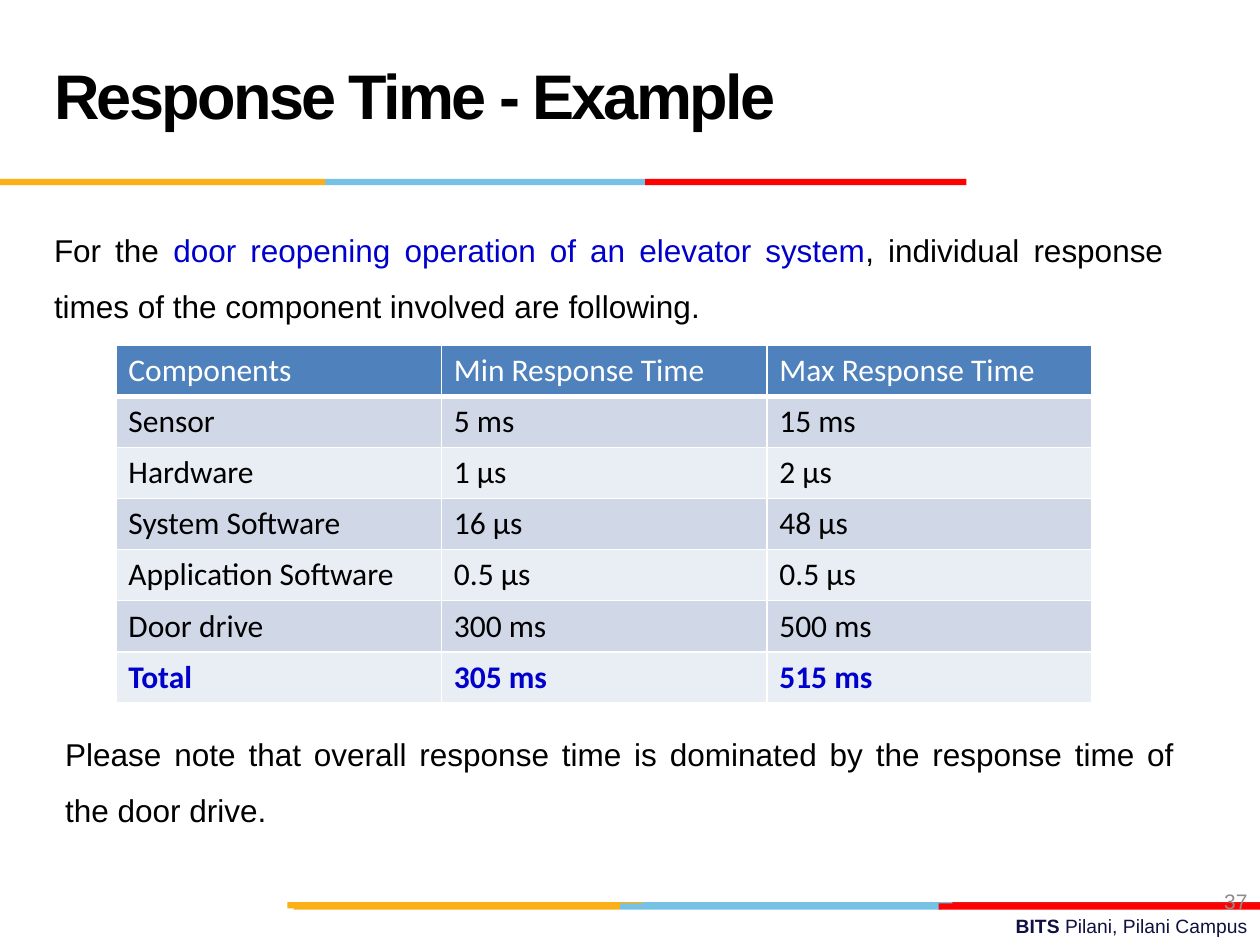
"""Build the response time example slide."""
from typing import NamedTuple

from lxml.etree import SubElement
from pptx import Presentation
from pptx.dml.color import RGBColor
from pptx.enum.shapes import MSO_SHAPE as Kind
from pptx.enum.text import MSO_ANCHOR as Anchor, PP_ALIGN as Align
from pptx.oxml.ns import qn
from pptx.util import Pt

GOLD, SKY, RED, BRICK = "FCB017", "76C2E5", "FF0000", "E31C24"
BLACK, WHITE, BLUE, NAVY, GREY = "000000", "FFFFFF", "0000CC", "101141", "8C8C8C"
HEAD, DARK, LIGHT = "4F81BD", "D0D8E8", "E9EDF4"


class Bar(NamedTuple):
    left: float
    top: float
    width: float
    fill: str


class Run(NamedTuple):
    text: str
    color: str = BLACK
    bold: bool = False


class Note(NamedTuple):
    box: tuple
    runs: list
    size: float
    form: dict
    anchor: Anchor = Anchor.TOP
    track: int = 0


BODY = {"alignment": Align.JUSTIFY, "line_spacing": 1.5}
RIGHT = {"alignment": Align.RIGHT}

BARS = [
    Bar(364.3, 515.5, 183.6, SKY),
    Bar(544.3, 515.5, 175.7, BRICK),
    Bar(164.2, 515.5, 203, GOLD),
    Bar(354.2, 516.2, 183.6, SKY),
    Bar(167.8, 516.2, 186.4, GOLD),
    Bar(536.4, 516.2, 183.6, RED),
    Bar(185.8, 102.2, 183.6, SKY),
    Bar(0, 102.2, 185.8, GOLD),
    Bar(368.6, 102.2, 183.6, RED),
]

NOTES = [
    Note((257.8, 519.1, 462.2, 20.9),
         [Run("BITS ", NAVY, True), Run("Pilani, Pilani Campus", NAVY)], 11, RIGHT),
    Note((23.8, 117.4, 648, 74.2),
         [Run("For the "),
          Run("door reopening operation of an elevator system", BLUE),
          Run(", individual response times of the component involved are following.")],
         18, BODY),
    Note((23.8, 12.2, 498.2, 90), [Run("Response Time - Example", BLACK, True)],
         36, {"line_spacing": Pt(36)}, Anchor.MIDDLE, -150),
    Note((552.2, 500.4, 167.8, 28.8), [Run("37", GREY)], 12, RIGHT, Anchor.MIDDLE),
    Note((30.2, 405.4, 648, 74.2),
         [Run("Please note that overall response time is dominated by "
              "the response time of the door drive.")], 18, BODY),
]

ROWS = [
    ("Components", "Min Response Time", "Max Response Time"),
    ("Sensor", "5 ms", "15 ms"),
    ("Hardware", "1 μs", "2 μs"),
    ("System Software", "16 μs", "48 μs"),
    ("Application Software", "0.5 μs", "0.5 μs"),
    ("Door drive", "300 ms", "500 ms"),
    ("Total", "305 ms", "515 ms"),
]


def paint(fill, color: str) -> None:
    """Make a fill solid in a hex colour."""
    fill.solid()
    fill.fore_color.rgb = RGBColor.from_string(color)


def apply(item, form: dict) -> None:
    """Set each format value on an item."""
    for name, value in form.items():
        setattr(item, name, value)


def add_run(para, run: Run, size: float, face: str):
    """Append a styled run to a paragraph."""
    part = para.add_run()
    part.text = run.text
    apply(part.font, {"name": face, "size": Pt(size), "bold": run.bold})
    part.font.color.rgb = RGBColor.from_string(run.color)
    return part


def draw_bar(slide, bar: Bar) -> None:
    """Draw a thin coloured strip."""
    shape = slide.shapes.add_shape(
        Kind.RECTANGLE, Pt(bar.left), Pt(bar.top), Pt(bar.width), Pt(3.6))
    shape.shadow.inherit = False
    shape.line.fill.background()
    paint(shape.fill, bar.fill)


def draw_note(slide, note: Note) -> None:
    """Draw a one-paragraph text box."""
    frame = slide.shapes.add_textbox(*map(Pt, note.box)).text_frame
    apply(frame, {"word_wrap": True, "vertical_anchor": note.anchor})
    para = frame.paragraphs[0]
    apply(para, note.form)
    for run in note.runs:
        part = add_run(para, run, note.size, "Arial")
        if note.track:
            part.font._element.set("spc", str(note.track))


def edge(cell, base: float) -> None:
    """Give a cell white borders with its own bottom width."""
    props = cell._tc.get_or_add_tcPr()
    for side, width in (("L", 1), ("R", 1), ("T", 1), ("B", base)):
        line = SubElement(props, qn(f"a:ln{side}"), w=str(Pt(width)))
        fill = SubElement(line, qn("a:solidFill"))
        SubElement(fill, qn("a:srgbClr"), val=WHITE)


def draw_table(slide, rows: list) -> None:
    """Draw the response time table with banded rows."""
    table = slide.shapes.add_table(
        len(rows), len(rows[0]), Pt(66.2), Pt(197.3), Pt(558), Pt(204.4)).table
    for col in table.columns:
        col.width = Pt(186)
    last = len(rows) - 1
    for i, row in enumerate(rows):
        table.rows[i].height = Pt(29.2)
        color = {0: WHITE, last: BLUE}.get(i, BLACK)
        fill = HEAD if i == 0 else (LIGHT, DARK)[i % 2]
        for j, text in enumerate(row):
            cell = table.cell(i, j)
            edge(cell, 3 if i == 0 else 1)
            paint(cell.fill, fill)
            add_run(cell.text_frame.paragraphs[0],
                    Run(text, color, i == last), 18, "Calibri")


def main() -> None:
    """Build and save the deck."""
    deck = Presentation()
    apply(deck, {"slide_width": Pt(720), "slide_height": Pt(540)})
    slide = deck.slides.add_slide(deck.slide_layouts[6])
    for bar in BARS:
        draw_bar(slide, bar)
    for note in NOTES:
        draw_note(slide, note)
    draw_table(slide, ROWS)
    deck.save("out.pptx")


if __name__ == "__main__":
    main()
